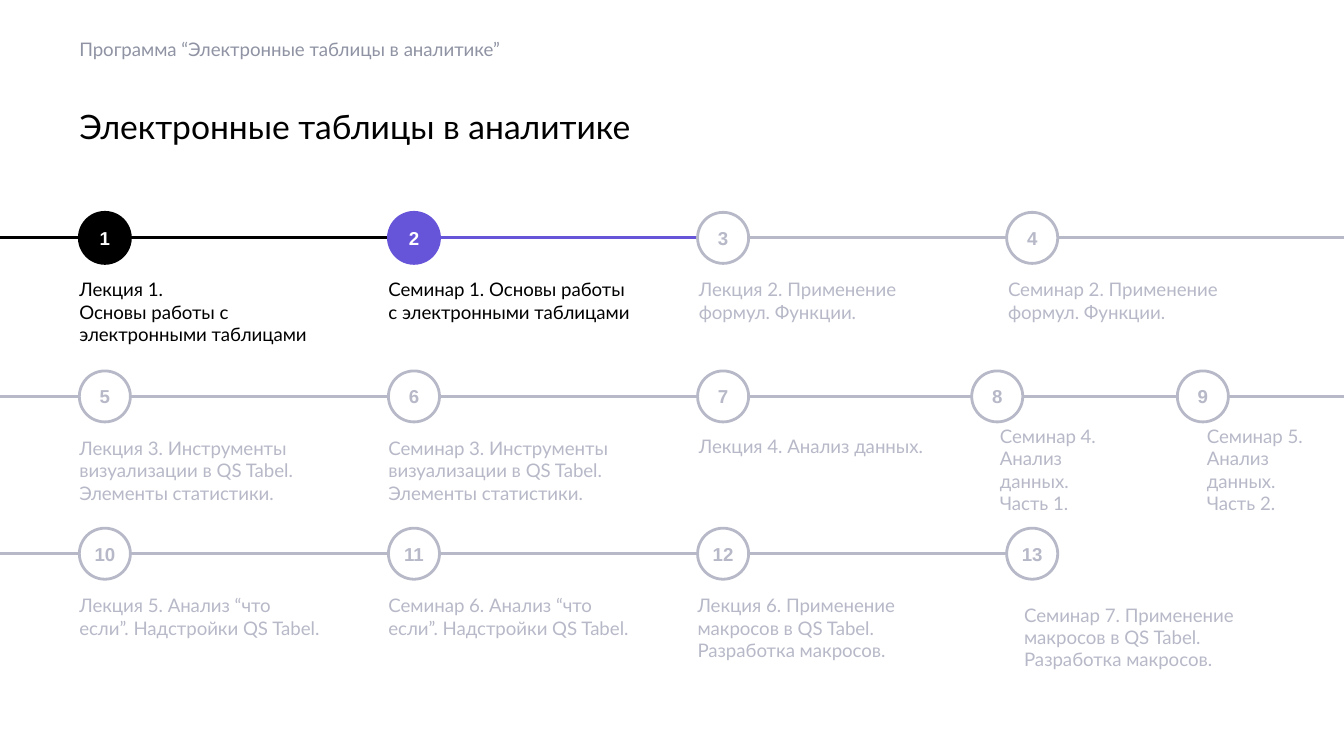
from itertools import count

from lxml import etree
from pptx import Presentation
from pptx.dml.color import RGBColor as RGB
from pptx.enum.shapes import MSO_CONNECTOR as Conn, MSO_SHAPE as Shape
from pptx.enum.text import MSO_ANCHOR as Anchor, PP_ALIGN as Align
from pptx.oxml.ns import qn
from pptx.util import Inches, Pt

# Content
HEAD = "Программа “Электронные таблицы в аналитике”"
TITLE = "Электронные таблицы в аналитике"
COLS = (0.59, 2.89, 5.19, 7.49)

# Each step: state, left edge, label
ROWS = [
    {"mid": 1.77, "high": 0.71, "tail": True, "steps": [
        ("done", COLS[0], "Лекция 1. \nОсновы работы с электронными таблицами"),
        ("now", COLS[1], "Семинар 1. Основы работы с электронными таблицами"),
        ("next", COLS[2], "Лекция 2. Применение формул. Функции."),
        ("next", COLS[3], "Семинар 2. Применение формул. Функции."),
    ]},
    {"mid": 2.95, "high": 0.71, "tail": True, "steps": [
        ("next", COLS[0], "Лекция 3. Инструменты визуализации в QS Tabel. Элементы статистики."),
        ("next", COLS[1], "Семинар 3. Инструменты визуализации в QS Tabel. Элементы статистики."),
        ("next", COLS[2], "Лекция 4. Анализ данных."),
        ("next", 7.23, "Семинар 4. Анализ данных. Часть 1."),
        ("next", 8.76, "Семинар 5. Анализ данных. Часть 2."),
    ]},
    {"mid": 4.12, "high": 0.37, "tail": False, "steps": [
        ("next", COLS[0], "Лекция 5. Анализ “что если”. Надстройки QS Tabel."),
        ("next", COLS[1], "Семинар 6. Анализ “что если”. Надстройки QS Tabel."),
        ("next", COLS[2], "Лекция 6. Применение макросов в QS Tabel. Разработка макросов."),
        ("next", COLS[3], "Семинар 7. Применение макросов в QS Tabel. Разработка макросов."),
    ]},
]

# Labels set off the grid: shift right, shift down, width
LABEL_W, DROP = 1.91, 0.2
MOVED = {
    **dict.fromkeys((3, 4, 7), (0.01, 0, LABEL_W)),
    8: (0.21, -0.09, 0.99), 9: (0.22, -0.09, 0.87), 13: (0.13, 0.07, LABEL_W),
}
# Circles that sit on an unbroken line
OVER = {8}

THEME = {
    "black": "000000", "white": "FFFFFF", "violet": "6654D9",
    "gray": "B7B9C8", "slate": "8F93A3",
    "body": "Lato", "digit": "Arial", "small": 10, "large": 18, "line": 1.5,
}
# State: circle fill, edge, number, label, line after the circle
STATES = {
    "done": ("black", "black", "white", "black", "black"),
    "now": ("violet", "violet", "white", "black", "violet"),
    "next": ("white", "gray", "gray", "gray", "gray"),
}
WIDE, SIZE = 10, 0.38

deck = Presentation()
deck.slide_width, deck.slide_height = Inches(WIDE), Inches(WIDE * 9 / 16)
slide = deck.slides.add_slide(deck.slide_layouts[6])
shapes = slide.shapes


def color(name):
    return RGB.from_string(THEME[name])


def write(shape, text, tint, pad, face="body", size="small", anchor=Anchor.TOP):
    frame = shape.text_frame
    frame.word_wrap = True
    frame.vertical_anchor = anchor
    (frame.margin_left, frame.margin_top,
     frame.margin_right, frame.margin_bottom) = map(Inches, pad)
    para = frame.paragraphs[0]
    para.text = text
    para.font.name = THEME[face]
    para.font.size = Pt(THEME[size])
    para.font.color.rgb = color(tint)
    return para


def add_text(box, *args, **opts):
    write(shapes.add_textbox(*map(Inches, box)), *args, **opts)


def add_line(left, right, mid, tint):
    line = shapes.add_connector(Conn.STRAIGHT, *map(Inches, (left, mid, right, mid)))
    line.line.color.rgb = color(tint)
    line.line.width = Pt(THEME["line"])
    etree.SubElement(line._element.spPr, qn("a:effectLst"))


def add_dot(left, mid, num, fill, edge, tint):
    dot = shapes.add_shape(
        Shape.OVAL, *map(Inches, (left, mid - SIZE / 2, SIZE, SIZE)))
    dot.shadow.inherit = False
    dot.fill.solid()
    dot.fill.fore_color.rgb = color(fill)
    dot.line.color.rgb = color(edge)
    dot.line.width = Pt(THEME["line"])
    para = write(dot, str(num), tint, (0, 0, 0, 0), "digit", anchor=Anchor.MIDDLE)
    para.font.bold = True
    para.alignment = Align.CENTER


# Headings
add_text((COLS[0], 0.17, 8.82, 0.39), HEAD, "slate", (0, 0.04, 0, 0.04),
         anchor=Anchor.MIDDLE)
add_text((COLS[0], 0.79, 8.82, 0.35), TITLE, "black", (0, 0, 0, 0), size="large")

# Timeline rows
nums = count(1)
for row in ROWS:
    mid = row["mid"]
    steps = [(next(nums), *step) for step in row["steps"]]

    # Lines between the circles
    end, trail = 0, STATES[steps[0][1]][4]
    for num, state, left, _ in steps:
        if num not in OVER:
            add_line(end, left, mid, trail)
            end, trail = left + SIZE, STATES[state][4]
    if row["tail"]:
        add_line(end, WIDE, mid, trail)

    # Circles and labels
    for num, state, left, text in steps:
        fill, edge, digit, tint, _ = STATES[state]
        add_dot(left, mid, num, fill, edge, digit)
        right, down, width = MOVED.get(num, (0, 0, LABEL_W))
        add_text((left + right, mid + DROP + down, width, row["high"]),
                 text, tint, (0, 0.1, 0.1, 0.1))

deck.save("out.pptx")
